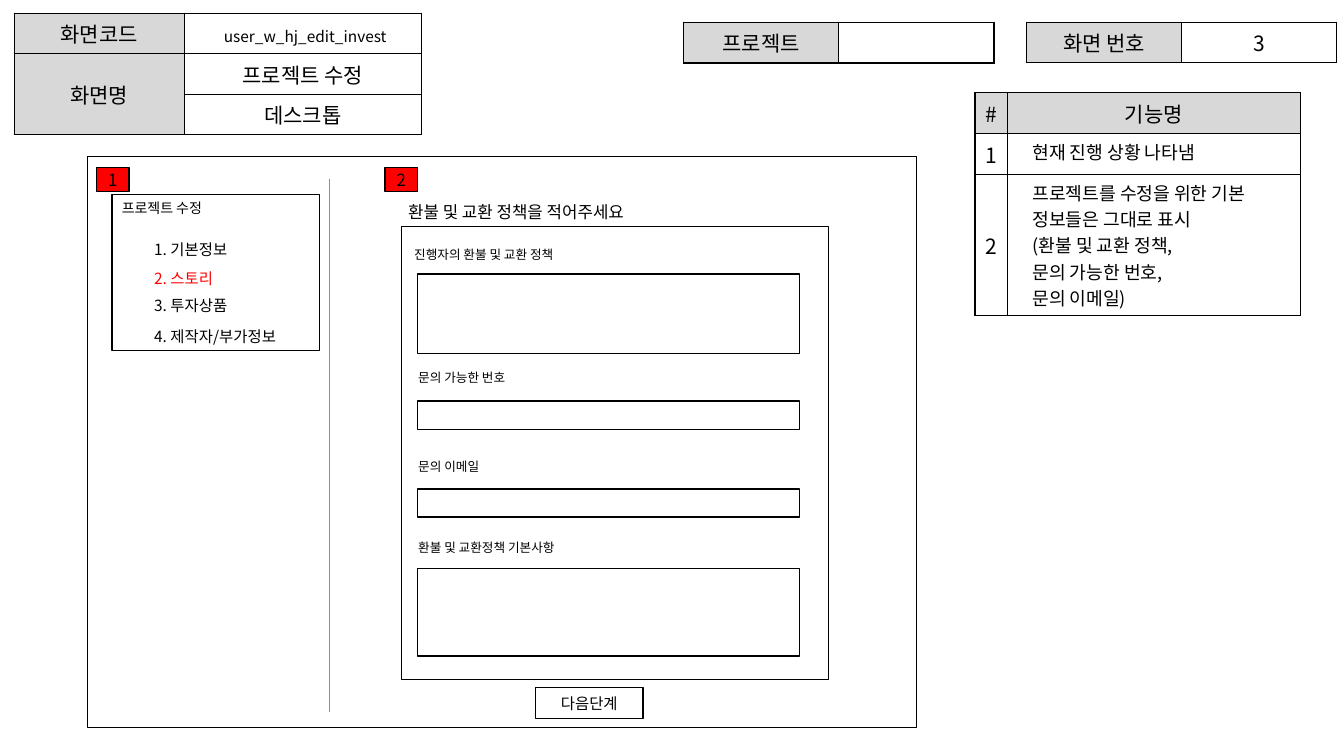
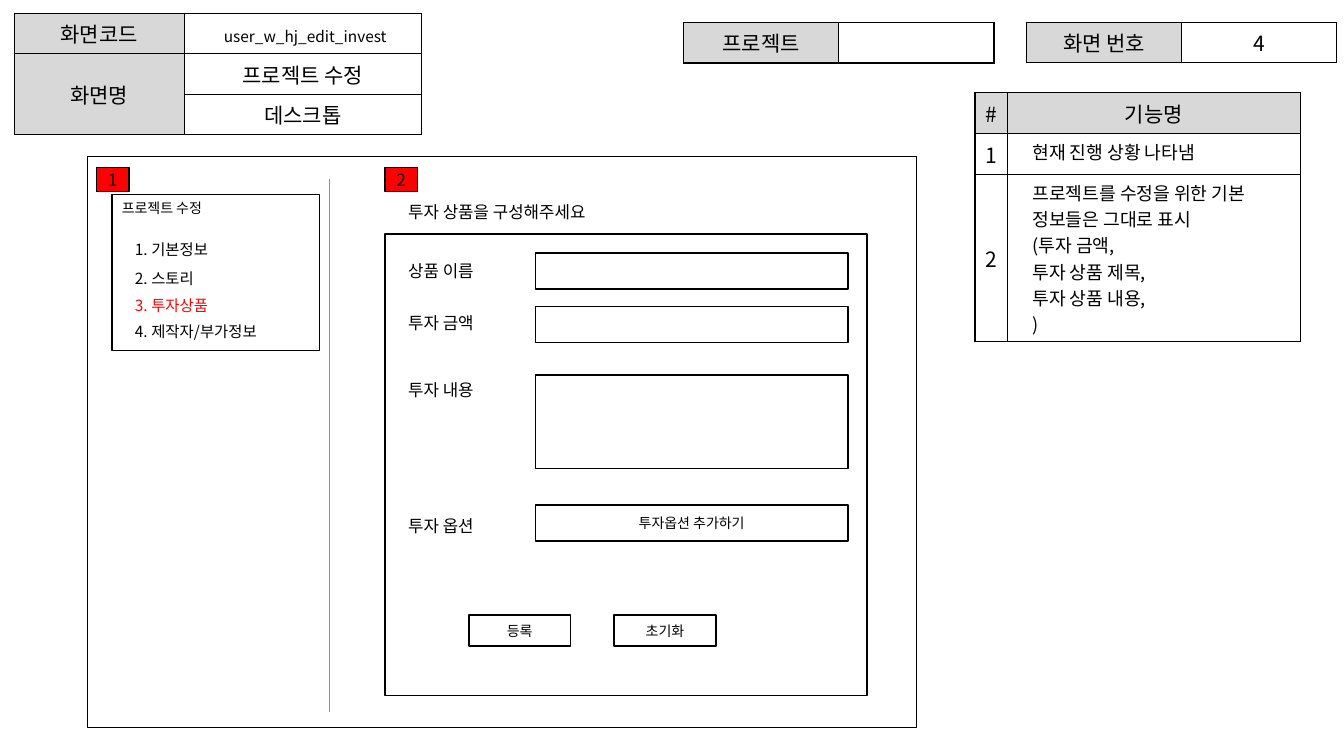
from lxml import etree
from pptx import Presentation
from pptx import util as u
from pptx.dml.color import RGBColor
from pptx.enum import shapes, text
from pptx.oxml import ns

FONT = "Noto Sans CJK KR"
BLACK, WHITE, GREY, RED, BLUE = "000000", "FFFFFF", "D8D8D8", "FF0000", "5B9BD5"
CENTER, LEFT = text.PP_ALIGN.CENTER, text.PP_ALIGN.LEFT
color = RGBColor.from_string


def set_text(text_frame, content, size, hex_color=BLACK, align=LEFT):
    """Write the content and format every paragraph and run alike."""
    text_frame.text = content
    for paragraph in text_frame.paragraphs:
        paragraph.alignment = align
        for run in paragraph.runs:
            run.font.size = u.Pt(size)
            run.font.name = FONT
            run.font.color.rgb = color(hex_color)
            east_asian = etree.SubElement(run.font._element, ns.qn("a:ea"))
            east_asian.set("typeface", FONT)


def add_grid(slide, left, top, widths, heights, rows):
    """Add a bordered table; each cell is (text, fill)."""
    table = slide.shapes.add_table(
        len(heights), len(widths), u.Inches(left), u.Inches(top),
        u.Inches(sum(widths)), u.Inches(sum(heights))).table
    table.first_row = table.horz_banding = False
    for column, width in zip(table.columns, widths):
        column.width = u.Inches(width)
    for row, height in zip(table.rows, heights):
        row.height = u.Inches(height)
    for row, contents in zip(table.rows, rows):
        for cell, (content, fill) in zip(row.cells, contents):
            properties = cell._tc.get_or_add_tcPr()
            for side in ("lnL", "lnR", "lnT", "lnB"):
                border = etree.SubElement(properties, ns.qn(f"a:{side}"), w=str(u.Pt(1)))
                solid = etree.SubElement(border, ns.qn("a:solidFill"))
                etree.SubElement(solid, ns.qn("a:srgbClr"), val=BLACK)
            cell.fill.solid()
            cell.fill.fore_color.rgb = color(fill)
            cell.vertical_anchor = text.MSO_ANCHOR.MIDDLE
            if content:
                set_text(cell.text_frame, content, 15, align=CENTER)
    return table


# What differs between the slides
# labels: text, left, top, width, size; boxes: left, top, width, height, text, size
screens = [
    {
        "number": "3",
        "details": "(환불 및 교환 정책,\n문의 가능한 번호,\n문의 이메일)",
        "details_height": 1.4,
        "menu_left": 1.43, "last_step_top": 3.2, "current_step": 1,
        "heading": "환불 및 교환 정책을 적어주세요",
        "labels": [
            ("진행자의 환불 및 교환 정책", 4.01, 2.4, 3.3, 9),
            ("문의 가능한 번호", 4.05, 3.62, 3.3, 9),
            ("문의 이메일", 4.05, 4.5, 3.3, 9),
            ("환불 및 교환정책 기본사항", 4.05, 5.31, 3.3, 9),
        ],
        "boxes": [(3.98, 2.25, 4.24, 4.49, "", 11)]
        + [(4.14, top, 3.79, height, "", 11) for top, height in
           [(2.72, 0.79), (3.98, 0.28), (4.85, 0.28), (5.64, 0.87)]]
        + [(5.31, 6.82, 1.07, 0.31, "다음단계", 11)],
    },
    {
        "number": "4",
        "details": "(투자 금액,\n투자 상품 제목,\n투자 상품 내용,\n)",
        "details_height": 1.66,
        "menu_left": 1.24, "last_step_top": 3.15, "current_step": 2,
        "heading": "투자 상품을 구성해주세요",
        "labels": [(label, 3.95, top, 1.36, 12) for label, top in
                   [("상품 이름", 2.54), ("투자 금액", 3.05),
                    ("투자 내용", 3.72), ("투자 옵션", 5.07)]],
        "boxes": [(3.82, 2.32, 4.78, 4.58, "", 10)]
        + [(5.31, top, 3.1, height, content, 10) for top, height, content in
           [(2.51, 0.36, ""), (3.04, 0.36, ""), (3.72, 0.93, ""),
            (5.01, 0.36, "투자옵션 추가하기")]]
        + [(left, 6.1, 1.01, 0.31, content, 10) for left, content in
           [(4.65, "등록"), (6.09, "초기화")]],
    },
]
steps = ["1. 기본정보", "2. 스토리", "3. 투자상품", "4. 제작자/부가정보"]

presentation = Presentation()
presentation.slide_width = u.Inches(13.33)
presentation.slide_height = u.Inches(7.5)

for screen in screens:
    slide = presentation.slides.add_slide(presentation.slide_layouts[6])

    # Header tables
    for left, title, value in [(10.18, "화면 번호", screen["number"]),
                               (6.78, "프로젝트", "")]:
        add_grid(slide, left, 0.22, [1.54, 1.54], [0.4],
                 [[(title, GREY), (value, WHITE)]])

    # Screen code and name
    info = add_grid(slide, 0.14, 0.13, [1.69, 2.35], [0.35] * 3, [
        [("화면코드", GREY), (" ", WHITE)],
        [("화면명", GREY), ("프로젝트 수정", WHITE)],
        [("", GREY), ("데스크톱", WHITE)]])
    info.cell(1, 0).merge(info.cell(2, 0))
    code = info.cell(0, 1).text_frame.paragraphs[0].add_run()
    code.text = "user_w_hj_edit_invest"
    code.font.size = u.Pt(11)
    code.font.name = FONT
    code.font.color.rgb = color(BLACK)

    # Function list
    functions = add_grid(
        slide, 9.67, 0.92, [0.32, 2.91], [0.4, 0.41, screen["details_height"]], [
            [("#", GREY), ("기능명", GREY)],
            [("1", WHITE), ("", WHITE)],
            [("2", WHITE), ("", WHITE)]])
    descriptions = ["현재 진행 상황 나타냄",
                    "프로젝트를 수정을 위한 기본 정보들은 그대로 표시\n" + screen["details"]]
    for row, description in enumerate(descriptions, start=1):
        cell = functions.cell(row, 1)
        cell.vertical_anchor = text.MSO_ANCHOR.TOP
        set_text(cell.text_frame, description, 13)
        for paragraph in cell.text_frame.paragraphs:
            paragraph._p.get_or_add_pPr().set("marL", str(u.Inches(0.15)))

    # Divider between menu and form
    divider = slide.shapes.add_connector(
        shapes.MSO_CONNECTOR.STRAIGHT,
        u.Inches(3.27), u.Inches(1.78), u.Inches(3.27), u.Inches(7.06))
    divider.line.color.rgb = color(BLUE)
    divider.line.width = u.Pt(0.5)
    etree.SubElement(divider._element.spPr, ns.qn("a:effectLst"))

    # Frames, fields, buttons and red markers
    boxes = [(0.87, 1.55, 8.22, 5.67, "", 12), (1.11, 1.93, 2.06, 1.55, "", 12)]
    boxes += screen["boxes"]
    markers = [(0.96, 1.66, 0.32, 0.24, "1", 12), (3.82, 1.66, 0.32, 0.24, "2", 12)]
    for box in boxes + markers:
        *place, content, size = box
        shape = slide.shapes.add_shape(
            shapes.MSO_SHAPE.RECTANGLE, *[u.Inches(length) for length in place])
        shape.shadow.inherit = False
        shape.line.color.rgb = color(BLACK)
        shape.line.width = u.Pt(1)
        if box in markers:
            shape.fill.solid()
            shape.fill.fore_color.rgb = color(RED)
        else:
            shape.fill.background()
        if content:
            shape.text_frame.vertical_anchor = text.MSO_ANCHOR.MIDDLE
            set_text(shape.text_frame, content, size, align=CENTER)

    # Menu, heading and field labels
    labels = [("프로젝트 수정", 1.11, 1.93, 1.77, 10),
              (screen["heading"], 3.95, 1.95, 3.3, 12)] + screen["labels"]
    step_tops = [2.33, 2.62, 2.89, screen["last_step_top"]]
    labels += [(step, screen["menu_left"], top, 2.14, 11)
               for step, top in zip(steps, step_tops)]
    for content, left, top, width, size in labels:
        label = slide.shapes.add_textbox(
            u.Inches(left), u.Inches(top), u.Inches(width), u.Inches(0.27))
        label.text_frame.word_wrap = True
        label.text_frame.auto_size = text.MSO_AUTO_SIZE.SHAPE_TO_FIT_TEXT
        is_current = content == steps[screen["current_step"]]
        set_text(label.text_frame, content, size, RED if is_current else BLACK)

presentation.save("out.pptx")
